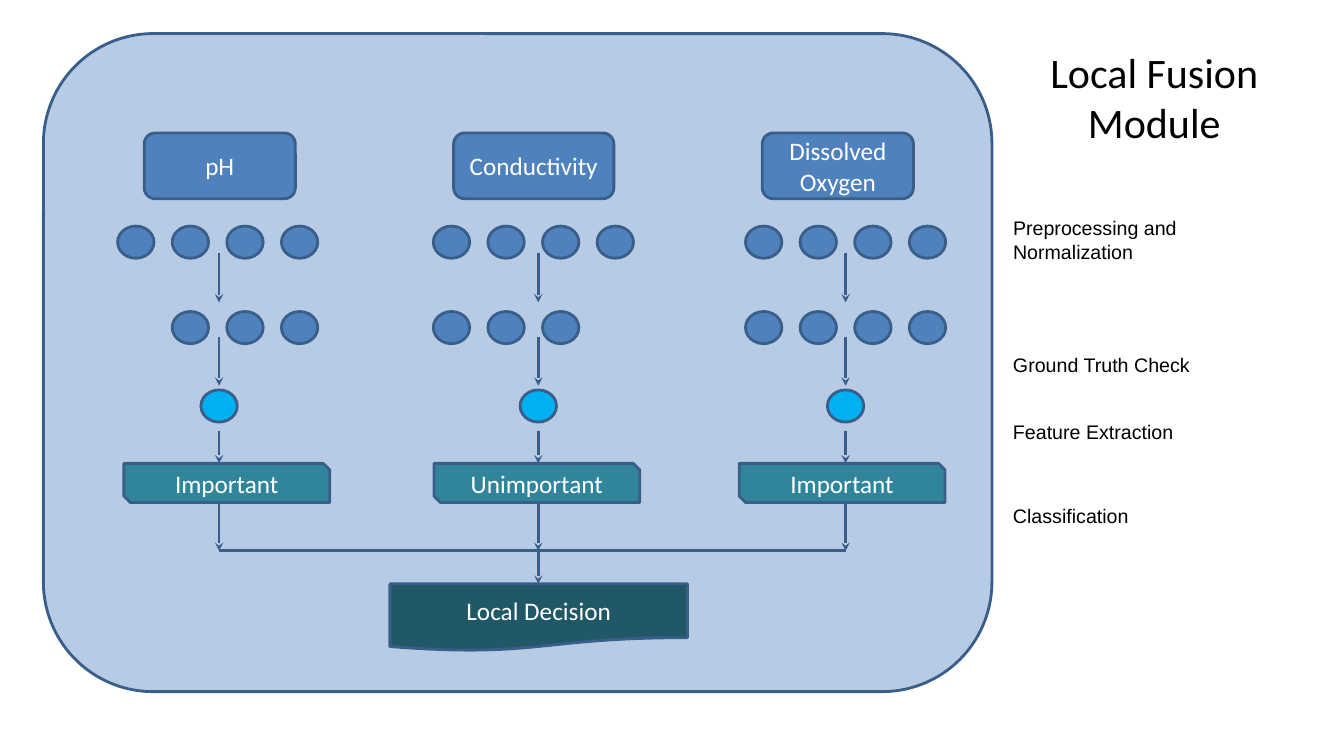
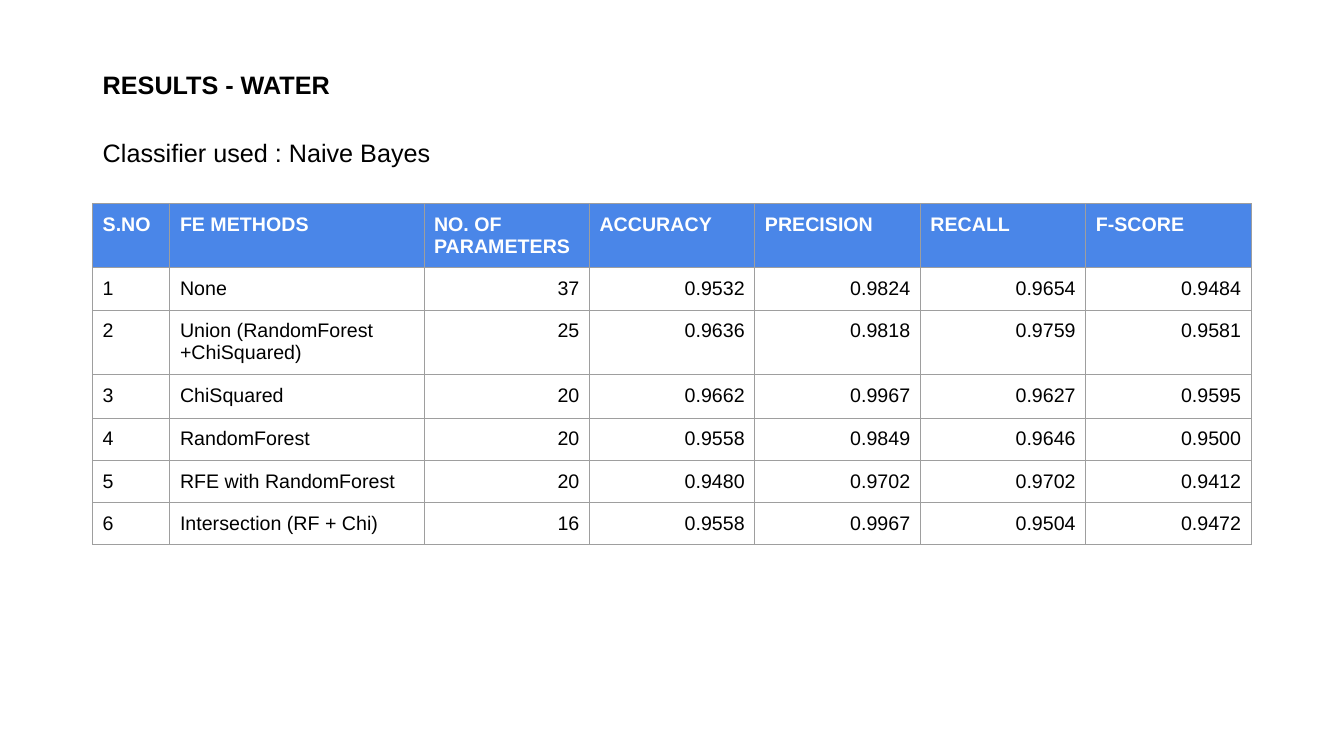
from dataclasses import dataclass

from lxml.etree import SubElement
from pptx import Presentation
from pptx.dml.color import RGBColor
from pptx.enum.shapes import MSO_CONNECTOR, MSO_SHAPE
from pptx.enum.text import MSO_ANCHOR, MSO_AUTO_SIZE, PP_ALIGN
from pptx.oxml.ns import qn
from pptx.util import Pt


@dataclass(frozen=True)
class Theme:
    black: str = "000000"
    white: str = "FFFFFF"
    outline: str = "395E89"
    panel: str = "B7CCE4"
    node: str = "4F81BD"
    feature: str = "00B0F0"
    result: str = "31859B"
    decision: str = "205867"
    table_header: str = "4A86E8"
    table_border: str = "9E9E9E"
    diagram_font: str = "Calibri"
    text_font: str = "Arial"
    module_title_size: int = 30
    heading_size: int = 18
    text_size: int = 14
    line_width: float = 2
    border_width: float = 0.75
    padding: float = 7.2
    title_padding: float = 3.6


@dataclass(frozen=True)
class Box:
    left: float
    top: float
    width: float
    height: float

    def inner(self, left, top, width, height):
        """Return a box whose offset is counted from this box's corner."""
        return Box(self.left + left, self.top + top, width, height)

    def lengths(self):
        return Pt(self.left), Pt(self.top), Pt(self.width), Pt(self.height)


@dataclass(frozen=True)
class Channel:
    """One sensor column; all positions are offsets from the panel's left edge."""
    name: str
    result: str
    axis: float
    sensor_left: float
    sensor_width: float
    dots_left: float
    result_left: float
    kept_dots: range


THEME = Theme()

CHANNELS = (
    Channel("pH", "Important", 125.5, 72, 108, 53, 57.5, range(1, 4)),
    Channel("Conductivity", "Unimportant", 353.5, 293, 114.5, 278.5, 279, range(3)),
    Channel("Dissolved Oxygen", "Important", 573, 513.5, 108, 501.5, 497, range(4)),
)
DOT_COUNT, DOT_PITCH, DOT_WIDTH, DOT_HEIGHT = 4, 39, 26, 23
MERGE_TOP, DECISION_TOP = 369.5, 393

STEPS = (
    ("Preprocessing and Normalization", 147, 182),
    ("Ground Truth Check", 245, 155),
    ("Feature Extraction", 292.5, 155),
    ("Classification", 353, 164),
)

RESULTS = (
    ("S.NO", "FE METHODS", "NO. OF PARAMETERS", "ACCURACY", "PRECISION", "RECALL", "F-SCORE"),
    ("1", "None", "37", "0.9532", "0.9824", "0.9654", "0.9484"),
    ("2", "Union (RandomForest +ChiSquared)", "25", "0.9636", "0.9818", "0.9759", "0.9581"),
    ("3", "ChiSquared", "20", "0.9662", "0.9967", "0.9627", "0.9595"),
    ("4", "RandomForest", "20", "0.9558", "0.9849", "0.9646", "0.9500"),
    ("5", "RFE with RandomForest", "20", "0.9480", "0.9702", "0.9702", "0.9412"),
    ("6", "Intersection (RF + Chi)", "16", "0.9558", "0.9967", "0.9504", "0.9472"),
)
COLUMN_WIDTHS = (55.2, 181.5) + (118.2,) * 5
ROW_HEIGHTS = (45.7, 30.2, 45.7, 31.2, 30.2, 30.2, 30.2)


def color(value):
    return RGBColor.from_string(value)


def write(frame, text, font, size, fill=THEME.black, bold=False, align=PP_ALIGN.LEFT):
    frame.text = text
    for para in frame.paragraphs:
        para.alignment = align
        para.space_before = Pt(0)
        for span in para.runs:
            span.font.name = font
            span.font.size = Pt(size)
            span.font.bold = bold
            span.font.color.rgb = color(fill)


def set_margins(target, horizontal, vertical):
    target.margin_left = target.margin_right = Pt(horizontal)
    target.margin_top = target.margin_bottom = Pt(vertical)


def prepare_frame(frame, vertical_padding):
    frame.word_wrap = True
    frame.auto_size = MSO_AUTO_SIZE.NONE
    frame.vertical_anchor = MSO_ANCHOR.TOP
    set_margins(frame, THEME.padding, vertical_padding)


def fill_placeholder(holder, box, text, vertical_padding=THEME.padding, **style):
    holder.left, holder.top, holder.width, holder.height = box.lengths()
    prepare_frame(holder.text_frame, vertical_padding)
    write(holder.text_frame, text, **style)


def add_node(page, kind, box, fill, text=""):
    node = page.shapes.add_shape(kind, *box.lengths())
    node.shadow.inherit = False
    node.fill.solid()
    node.fill.fore_color.rgb = color(fill)
    node.line.color.rgb = color(THEME.outline)
    node.line.width = Pt(THEME.line_width)
    if text:
        frame = node.text_frame
        prepare_frame(frame, THEME.title_padding)
        frame.vertical_anchor = MSO_ANCHOR.MIDDLE
        write(frame, text, THEME.diagram_font, THEME.heading_size, THEME.white,
              align=PP_ALIGN.CENTER)


def add_line(page, start, end, arrow=True):
    line = page.shapes.add_connector(
        MSO_CONNECTOR.STRAIGHT, *(Pt(value) for value in start + end))
    line.line.color.rgb = color(THEME.outline)
    line.line.width = Pt(THEME.line_width)
    properties = line._element.spPr
    if arrow:
        SubElement(properties.find(qn("a:ln")), qn("a:tailEnd"), type="stealth")
    SubElement(properties, qn("a:effectLst"))


def add_down_arrow(page, panel, axis, top, bottom):
    x = panel.left + axis
    add_line(page, (x, panel.top + top), (x, panel.top + bottom))


def add_dots(page, panel, left, top, positions):
    for position in positions:
        box = panel.inner(left + position * DOT_PITCH, top, DOT_WIDTH, DOT_HEIGHT)
        add_node(page, MSO_SHAPE.OVAL, box, THEME.node)


def add_channel(page, panel, channel):
    """Draw one sensor column, from its raw readings down to its class."""
    sensor = panel.inner(channel.sensor_left, 71, channel.sensor_width, 47)
    add_node(page, MSO_SHAPE.ROUNDED_RECTANGLE, sensor, THEME.node, channel.name)
    add_dots(page, panel, channel.dots_left, 137.5, range(DOT_COUNT))
    add_dots(page, panel, channel.dots_left, 198.5, channel.kept_dots)
    feature = panel.inner(channel.axis - DOT_WIDTH / 2, 254.5, DOT_WIDTH, DOT_HEIGHT)
    add_node(page, MSO_SHAPE.OVAL, feature, THEME.feature)
    result = panel.inner(channel.result_left, 307, 147, 28)
    add_node(page, MSO_SHAPE.SNIP_2_DIAG_RECTANGLE, result, THEME.result, channel.result)
    for top, bottom in ((156.5, 192), (216.5, 251.5), (284, 307), (335, MERGE_TOP)):
        add_down_arrow(page, panel, channel.axis, top, bottom)


def add_fusion_diagram(page, panel):
    add_node(page, MSO_SHAPE.ROUNDED_RECTANGLE, panel, THEME.panel)
    for channel in CHANNELS:
        add_channel(page, panel, channel)
    first, middle, last = (channel.axis for channel in CHANNELS)
    merge_y = panel.top + MERGE_TOP
    add_line(page, (panel.left + first, merge_y), (panel.left + last, merge_y), arrow=False)
    add_down_arrow(page, panel, middle, MERGE_TOP, DECISION_TOP)
    decision = panel.inner(247.5, DECISION_TOP, 212.5, 48)
    add_node(page, MSO_SHAPE.FLOWCHART_DOCUMENT, decision, THEME.decision, "Local Decision")


def add_step_labels(page, area):
    for text, top, width in STEPS:
        label = page.shapes.add_textbox(*area.inner(0, top, width, 29).lengths())
        prepare_frame(label.text_frame, THEME.padding)
        write(label.text_frame, text, THEME.text_font, THEME.text_size)


def add_cell_borders(cell):
    properties = cell._tc.get_or_add_tcPr()
    for side in ("a:lnL", "a:lnR", "a:lnT", "a:lnB"):
        border = SubElement(properties, qn(side), w=str(int(Pt(THEME.border_width))))
        fill = SubElement(border, qn("a:solidFill"))
        SubElement(fill, qn("a:srgbClr"), val=THEME.table_border)


def format_cell(cell, text, is_header, is_number):
    set_margins(cell, THEME.padding, THEME.padding)
    add_cell_borders(cell)
    if is_header:
        cell.fill.solid()
        cell.fill.fore_color.rgb = color(THEME.table_header)
    else:
        cell.fill.background()
    write(cell.text_frame, text, THEME.text_font, THEME.text_size,
          THEME.white if is_header else THEME.black, is_header,
          PP_ALIGN.RIGHT if is_number else PP_ALIGN.LEFT)


def add_results_table(page, box):
    table = page.shapes.add_table(len(RESULTS), len(COLUMN_WIDTHS), *box.lengths()).table
    table.horz_banding = False
    for column, width in zip(table.columns, COLUMN_WIDTHS):
        column.width = Pt(width)
    for row, height in zip(table.rows, ROW_HEIGHTS):
        row.height = Pt(height)
    for row_index, values in enumerate(RESULTS):
        for column_index, text in enumerate(values):
            is_header = row_index == 0
            format_cell(table.cell(row_index, column_index), text, is_header,
                        not is_header and column_index >= 2)


def build_fusion_slide(deck):
    page = deck.slides.add_slide(deck.slide_layouts.get_by_name("Title Only"))
    side = Box(716.5, 0, 216, 540)
    fill_placeholder(page.shapes.title, side.inner(0, 29.5, 216, 83), "Local Fusion\nModule",
                     THEME.title_padding, font=THEME.diagram_font,
                     size=THEME.module_title_size, align=PP_ALIGN.CENTER)
    add_fusion_diagram(page, Box(31, 24, 677.5, 470))
    add_step_labels(page, side)


def build_results_slide(deck):
    page = deck.slides.add_slide(deck.slide_layouts.get_by_name("Title and Content"))
    area = Box(66.2, 42.5, sum(COLUMN_WIDTHS), 346)
    style = {"font": THEME.text_font, "size": THEME.heading_size}
    fill_placeholder(page.shapes.title, area.inner(0, 0, 300, 36.5), "RESULTS - WATER",
                     bold=True, **style)
    body = page.placeholders[1]
    fill_placeholder(body, area.inner(0, 48.2, 300, 36.5), "Classifier used : Naive Bayes",
                     **style)
    properties = body.text_frame.paragraphs[0]._p.get_or_add_pPr()
    properties.set("marL", "0")
    properties.set("indent", "0")
    SubElement(properties, qn("a:buNone"))
    add_results_table(page, area.inner(0, 102.9, area.width, sum(ROW_HEIGHTS)))


def main():
    deck = Presentation()
    deck.slide_width, deck.slide_height = Pt(960), Pt(540)
    build_fusion_slide(deck)
    build_results_slide(deck)
    deck.save("out.pptx")


if __name__ == "__main__":
    main()
